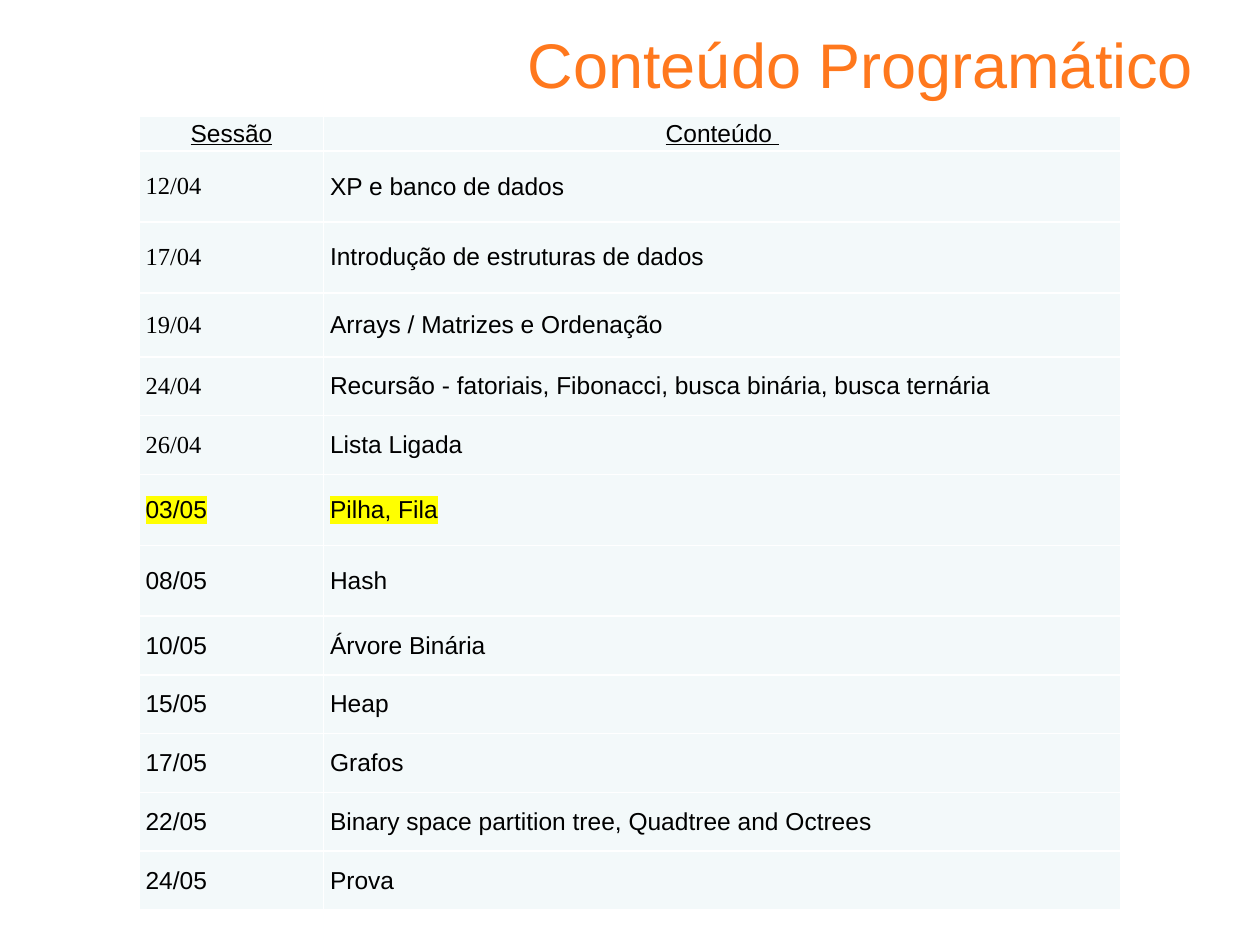
from lxml import etree
from pptx import Presentation
from pptx.dml.color import RGBColor
from pptx.enum.text import MSO_ANCHOR, PP_ALIGN
from pptx.oxml.ns import qn
from pptx.util import Pt

CENTER, RIGHT, JUSTIFY = PP_ALIGN.CENTER, PP_ALIGN.RIGHT, PP_ALIGN.JUSTIFY
MIDDLE, BOTTOM = MSO_ANCHOR.MIDDLE, MSO_ANCHOR.BOTTOM

COLORS = {"title": "FF781D", "text": "000000", "cell": "F3F9FA",
          "border": "FFFFFF", "mark": "FFFF00"}
SANS, SERIF = "Arial", "Times New Roman"


class Page:
    """Style and current slide."""

    def __init__(self, slide):
        self.slide = slide

    def add_text(self, paragraph, text, size, color, align, font=SANS, underline=False):
        run = paragraph.add_run()
        run.text = text
        paragraph.alignment = align
        paragraph.font.size = Pt(size)
        paragraph.font.name = font
        paragraph.font.underline = underline
        paragraph.font.color.rgb = RGBColor.from_string(COLORS[color])
        return run

    def title(self, text, left, top, width, height):
        frame = self.slide.shapes.add_textbox(Pt(left), Pt(top), Pt(width), Pt(height)).text_frame
        frame.word_wrap = True
        frame.vertical_anchor = BOTTOM
        frame.margin_bottom = Pt(2.5)
        self.add_text(frame.paragraphs[0], text, 36, "title", RIGHT)

    def table(self, left, top, widths, heights):
        table = self.slide.shapes.add_table(
            len(heights), len(widths), Pt(left), Pt(top),
            Pt(sum(widths)), Pt(sum(heights))).table
        table.first_row = table.horz_banding = False
        for column, width in zip(table.columns, widths):
            column.width = Pt(width)
        for row, height in zip(table.rows, heights):
            row.height = Pt(height)
        return table

    def cell(self, cell, text, align=JUSTIFY, font=SANS, underline=False, marked=False):
        cell.margin_left = cell.margin_right = Pt(3.6)
        cell.margin_top = cell.margin_bottom = 0
        cell.vertical_anchor = MIDDLE
        self.borders(cell)
        cell.fill.solid()
        cell.fill.fore_color.rgb = RGBColor.from_string(COLORS["cell"])
        run = self.add_text(cell.text_frame.paragraphs[0], text, 14, "text", align, font, underline)
        if marked:
            highlight = etree.SubElement(run.font._element, qn("a:highlight"))
            etree.SubElement(highlight, qn("a:srgbClr"), val=COLORS["mark"])

    def borders(self, cell):
        properties = cell._tc.get_or_add_tcPr()
        for side in ("a:lnL", "a:lnR", "a:lnT", "a:lnB"):
            line = etree.SubElement(properties, qn(side), w=str(Pt(1)))
            fill = etree.SubElement(line, qn("a:solidFill"))
            etree.SubElement(fill, qn("a:srgbClr"), val=COLORS["border"])


presentation = Presentation()
presentation.slide_width, presentation.slide_height = Pt(720), Pt(540)
page = Page(presentation.slides.add_slide(presentation.slide_layouts[6]))

# Title
page.title("Conteúdo Programático", 172.8, 10.1, 516.2, 50.4)

# Sessions: date, topic, row height
TALL, MEDIUM, SHORT = 40.5, 36.6, 33.6
sessions = [
    ("12/04", "XP e banco de dados", TALL),
    ("17/04", "Introdução de estruturas de dados", TALL),
    ("19/04", "Arrays / Matrizes e Ordenação", MEDIUM),
    ("24/04", "Recursão - fatoriais, Fibonacci, busca binária, busca ternária", SHORT),
    ("26/04", "Lista Ligada", SHORT),
    ("03/05", "Pilha, Fila", TALL),
    ("08/05", "Hash", TALL),
    ("10/05", "Árvore Binária", SHORT),
    ("15/05", "Heap", SHORT),
    ("17/05", "Grafos", SHORT),
    ("22/05", "Binary space partition tree, Quadtree and Octrees", SHORT),
    ("24/05", "Prova", SHORT),
]
current_date = "03/05"

# Schedule table
schedule = page.table(79.6, 66.2, [105.4, 455.6], [20.2] + [height for _, _, height in sessions])
for column, heading in enumerate(("Sessão", "Conteúdo ")):
    page.cell(schedule.cell(0, column), heading, CENTER, underline=True)
for row, (date, topic, _) in enumerate(sessions, start=1):
    marked = date == current_date
    date_font = SERIF if date.endswith("/04") else SANS
    page.cell(schedule.cell(row, 0), date, font=date_font, marked=marked)
    page.cell(schedule.cell(row, 1), topic, marked=marked)

presentation.save("out.pptx")
